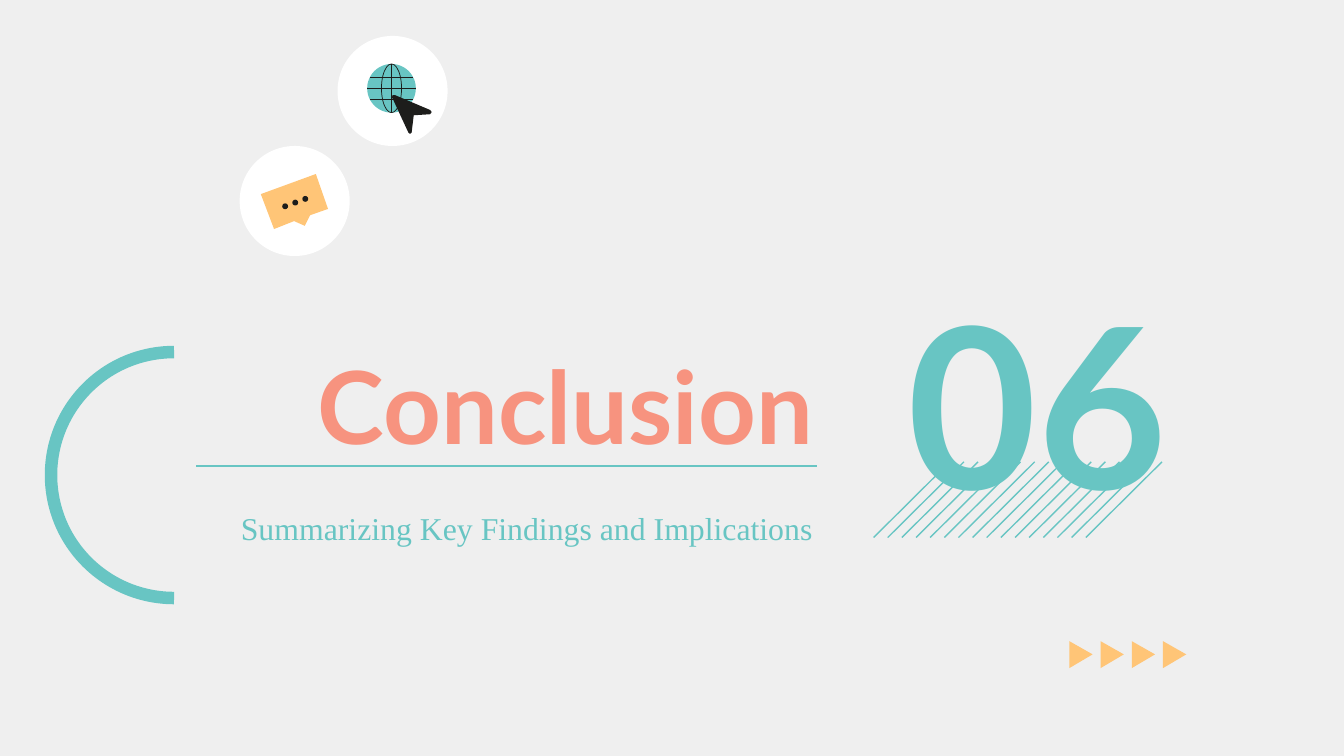
"""Build the closing section slide with its title, number and decorations."""
from dataclasses import dataclass
from typing import Any, Optional

from lxml.etree import SubElement
from pptx import Presentation
from pptx.dml.color import RGBColor
from pptx.enum.shapes import MSO_CONNECTOR as Link, MSO_SHAPE as Preset
from pptx.enum.text import MSO_ANCHOR as Anchor, PP_ALIGN as Align
from pptx.oxml.ns import qn
from pptx.util import Cm, Pt

COLORS = {
    "background": "EFEFEF",
    "teal": "68C5C3",
    "coral": "F7937F",
    "amber": "FFC577",
    "white": "FFFFFF",
    "ink": "1D1D1B",
}


@dataclass(frozen=True)
class Label:
    text: str
    box: tuple[float, float, float, float]
    color: str
    font: dict[str, Any]
    paragraph: dict[str, Any]
    top_inset: float = 0


@dataclass(frozen=True)
class Stroke:
    start: tuple[float, float]
    end: tuple[float, float]
    color: str = "teal"
    width: float = 0.75


@dataclass(frozen=True)
class Round:
    center: tuple[float, float]
    width: float
    height: float
    fill: Optional[str] = None
    outline: Optional[str] = None
    outline_width: float = 0.39
    preset: Preset = Preset.OVAL


@dataclass(frozen=True)
class Polygon:
    points: tuple[tuple[float, float], ...]
    fill: str


def rgb(color: str) -> RGBColor:
    return RGBColor.from_string(COLORS[color])


def apply_format(target: Any, values: dict[str, Any]) -> None:
    for attribute, value in values.items():
        setattr(target, attribute, value)


def draw_label(slide: Any, label: Label) -> None:
    frame = slide.shapes.add_textbox(*map(Cm, label.box)).text_frame
    apply_format(frame, {
        "word_wrap": True,
        "vertical_anchor": Anchor.TOP,
        "margin_left": Cm(0.25),
        "margin_right": Cm(0.25),
        "margin_top": Cm(label.top_inset),
        "margin_bottom": Cm(0.25),
    })
    paragraph = frame.paragraphs[0]
    apply_format(paragraph, label.paragraph)
    run = paragraph.add_run()
    run.text = label.text
    apply_format(run.font, label.font)
    run.font.color.rgb = rgb(label.color)


def draw_stroke(slide: Any, stroke: Stroke) -> None:
    ends = map(Cm, (*stroke.start, *stroke.end))
    connector = slide.shapes.add_connector(Link.STRAIGHT, *ends)
    connector.line.color.rgb = rgb(stroke.color)
    connector.line.width = Pt(stroke.width)
    SubElement(connector._element.spPr, qn("a:effectLst"))


def draw_round(slide: Any, item: Round) -> Any:
    x, y = item.center
    box = (x - item.width / 2, y - item.height / 2, item.width, item.height)
    shape = slide.shapes.add_shape(item.preset, *map(Cm, box))
    shape.shadow.inherit = False
    if item.fill:
        shape.fill.solid()
        shape.fill.fore_color.rgb = rgb(item.fill)
    else:
        shape.fill.background()
    if item.outline:
        shape.line.color.rgb = rgb(item.outline)
        shape.line.width = Pt(item.outline_width)
    else:
        shape.line.fill.background()
    return shape


def draw_polygon(slide: Any, polygon: Polygon) -> None:
    first, *rest = [(Cm(x), Cm(y)) for x, y in polygon.points]
    builder = slide.shapes.build_freeform(*first)
    builder.add_line_segments(rest, close=True)
    shape = builder.convert_to_shape()
    shape.shadow.inherit = False
    shape.fill.solid()
    shape.fill.fore_color.rgb = rgb(polygon.fill)
    shape.line.fill.background()


def draw_hatching(slide: Any) -> None:
    count, first, last = 16, 16.51, 20.52
    for index in range(count):
        x = first + index * (last - first) / (count - 1)
        draw_stroke(slide, Stroke((x + 1.44, 8.73), (x, 10.16)))


def draw_arrows(slide: Any) -> None:
    for index in range(4):
        x = 20.21 + 0.59 * index
        draw_polygon(slide, Polygon(((x, 12.12), (x + 0.44, 12.37), (x, 12.63)), "amber"))


def draw_chat_icon(slide: Any) -> None:
    draw_round(slide, Round((5.57, 3.8), 2.08, 2.08, "white"))
    draw_polygon(slide, Polygon((
        (5.97, 3.29), (4.93, 3.67), (5.18, 4.33), (5.56, 4.18),
        (5.76, 4.27), (5.86, 4.07), (6.2, 3.95),
    ), "amber"))
    for step in (-1, 0, 1):
        center = (5.58 + 0.19 * step, 3.83 - 0.07 * step)
        draw_round(slide, Round(center, 0.11, 0.11, "ink"))


def draw_globe_icon(slide: Any) -> None:
    x, y, radius = 7.4, 1.67, 0.46
    draw_round(slide, Round((7.42, 1.72), 2.08, 2.08, "white"))
    draw_round(slide, Round((x, y), 2 * radius, 2 * radius, "teal"))
    draw_round(slide, Round((x, y), 0.38, 2 * radius, outline="ink"))
    draw_stroke(slide, Stroke((x, y - radius), (x, y + radius), "ink", 0.39))
    for offset, reach in ((0, radius), (-0.2, 0.41), (0.2, 0.41)):
        parallel = y + offset
        draw_stroke(slide, Stroke((x - reach, parallel), (x + reach, parallel), "ink", 0.39))
    draw_polygon(slide, Polygon((
        (7.41, 1.84), (7.72, 2.51), (7.75, 2.53), (7.78, 2.51), (7.82, 2.18),
        (8.13, 2.16), (8.16, 2.12), (8.13, 2.08), (7.47, 1.8), (7.42, 1.8),
    ), "ink"))


def main() -> None:
    deck = Presentation()
    deck.slide_width, deck.slide_height = Cm(25.4), Cm(14.29)
    slide = deck.slides.add_slide(deck.slide_layouts[6])
    slide.background.fill.solid()
    slide.background.fill.fore_color.rgb = rgb("background")

    labels = (
        Label("Conclusion", (3.1, 6.5, 12.52, 2.08), "coral",
              {"name": "Lato", "size": Pt(54), "bold": True},
              {"alignment": Align.RIGHT}),
        Label("06", (16.03, 5.03, 7.16, 3.58), "teal",
              {"name": "Lato", "size": Pt(120), "bold": True},
              {"alignment": Align.CENTER}),
        Label("Summarizing Key Findings and Implications", (1.78, 9.27, 13.84, 0.97), "teal",
              {"name": "Times New Roman", "size": Pt(17), "bold": False},
              {"alignment": Align.RIGHT, "line_spacing": 1.15, "space_after": Pt(16)}, 0.25),
    )
    for label in labels:
        draw_label(slide, label)
    draw_stroke(slide, Stroke((3.71, 8.81), (15.44, 8.81)))

    half_ring = draw_round(slide, Round(
        (3.29, 8.98), 4.65, 4.65, outline="teal", outline_width=6.69, preset=Preset.ARC))
    half_ring.adjustments[0], half_ring.adjustments[1] = 54, 162

    draw_hatching(slide)
    draw_arrows(slide)
    draw_chat_icon(slide)
    draw_globe_icon(slide)
    deck.save("out.pptx")


if __name__ == "__main__":
    main()
